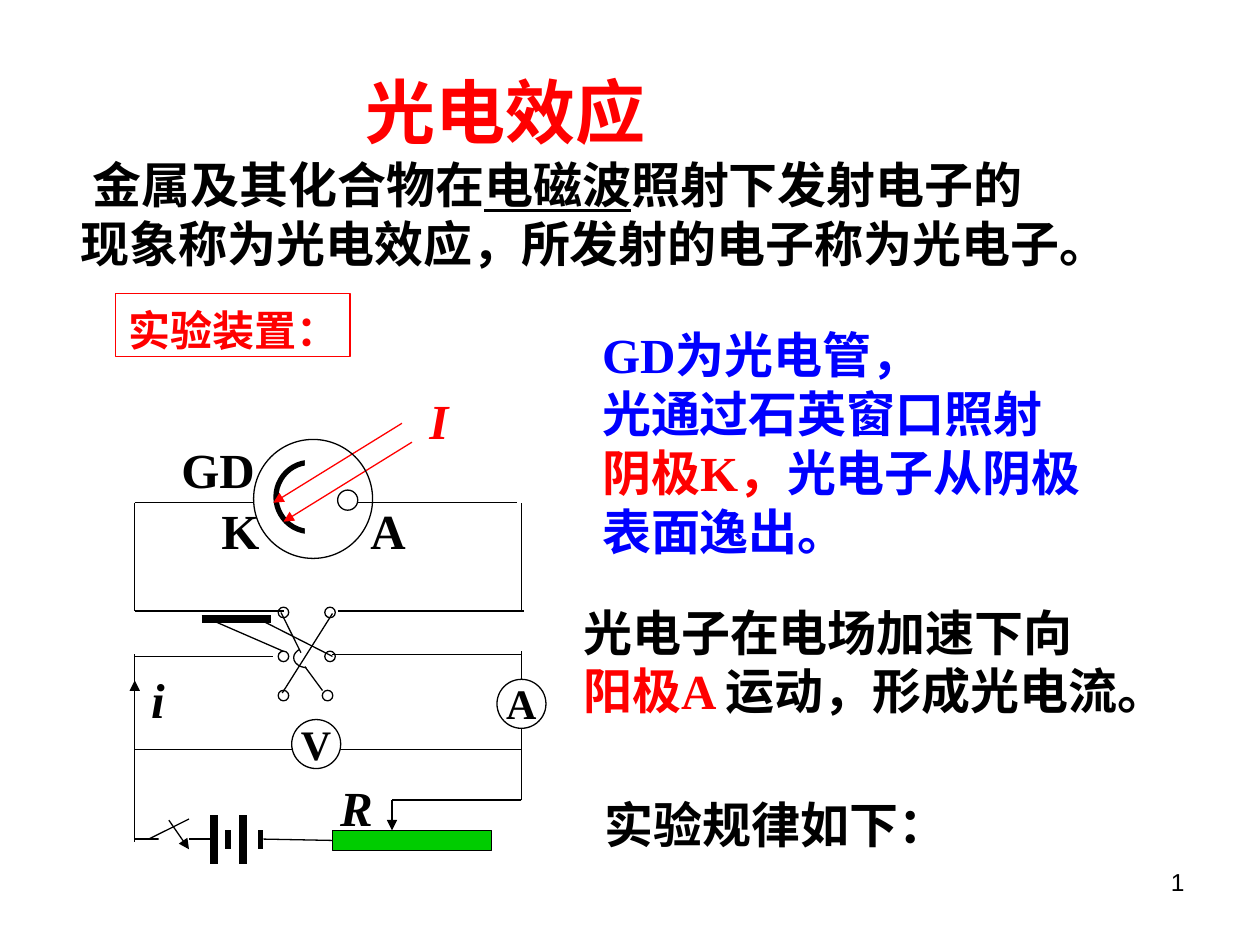
from pptx import Presentation
from pptx.util import Pt
from pptx.dml.color import RGBColor
from pptx.enum.shapes import MSO_SHAPE as SHAPE, MSO_CONNECTOR as CONN
from pptx.enum.text import PP_ALIGN as ALIGN, MSO_ANCHOR as ANCHOR, MSO_AUTO_SIZE as AUTO
from pptx.oxml.ns import qn
from lxml.etree import SubElement

C = dict(black="000000", white="FFFFFF", red="FF0000", blue="0000FF", green="00CC00")
CJK, SERIF = "Noto Sans CJK SC", "Times New Roman"

# Content: a run is (text, format changes), a paragraph is a list of runs
TITLE = [[("光电效应", {})]]
DEFINITION = [
    [("金属及其化合物在", {}), ("电磁波", dict(underline=True)), ("照射下发射电子的", {})],
    [("现象称为光电效应，所发射的电子称为光电子。", {})],
]
SETUP = [[("实验装置：", {})]]
TUBE_NOTE = [
    [("GD", dict(font=SERIF)), ("为光电管，", {})],
    [("光通过石英窗口照射", {})],
    [("阴极", dict(color="red")), ("K", dict(color="red", font=SERIF)),
     ("，", dict(color="red")), ("光电子从阴极", {})],
    [("表面逸出。", {})],
]
CURRENT_NOTE = [
    [("光电子在电场加速下向", {})],
    [("阳极", dict(color="red")), ("A ", dict(color="red", font=SERIF)),
     ("运动，形成光电流。", {})],
]
LAWS = [[("实验规律如下：", {})]]

# Circuit grid: side wires and wire heights
LEFT, RIGHT = 77, 298
Y_TUBE, Y_TOP, Y_MID, Y_METER, Y_SLIDER, Y_CELL = 287.3, 349.2, 374, 428.4, 457.2, 479.5
METER, TERMINAL = 28, 6

# Wires: x1, y1, x2, y2
FRAME = [
    (198.7, Y_TUBE, 295.2, Y_TUBE), (RIGHT, Y_SLIDER, RIGHT, 372.2),
    (LEFT, 375.1, 156.2, 375.1), (190, Y_MID, RIGHT, Y_MID),
    (RIGHT, Y_SLIDER, 224, Y_SLIDER), (LEFT, Y_CELL, 122.4, Y_CELL),
    (LEFT, Y_METER, RIGHT, Y_METER),
]
TUBE_WIRES = [
    (LEFT, Y_TUBE, 144.7, Y_TUBE), (193, Y_TOP, 299.5, Y_TOP), (162, Y_TOP, LEFT, Y_TOP),
    (LEFT, Y_TUBE, LEFT, Y_TOP), (RIGHT, Y_TOP, RIGHT, Y_TUBE),
]
SWITCH_BLADES = [
    (190, 350.6, 161.3, 396), (172, 373, 160.6, 350),
    (174.2, 380.9, 184.3, 394.6), (190, 375.1, 144.7, 352.1),
]
TERMINALS = [(162, 350), (188.6, 350), (162, 375.1), (188.6, 375.1), (162, 397.5), (187.2, 397.5)]
PLATES = [(122.4, 465.8, 493.9, 4.5), (130.3, 474.5, 485.3, 3),
          (139, 465.8, 493.9, 4.5), (149, 474.5, 485.3, 3)]  # x, top, bottom, width
RAYS = [(229.7, 241.9, 156.2, 287.3), (235.4, 252.7, 162, 298.1)]
METERS = [("A", 298, 402.2), ("V", 180.7, 425.2)]
LABELS = [  # text, left, top, width, format
    ("R", 187.2, 439.9, 30.2, dict(italic=True)), ("i", 79.2, 378, 30.2, dict(italic=True)),
    ("A", 204.5, 281.5, 34.6, {}), ("K", 119.5, 281.5, 36, {}), ("GD", 96.5, 247, 56.2, {}),
    ("I", 238.3, 218.9, 22.3, dict(italic=True, color="red")),
]

prs = Presentation()
prs.slide_width, prs.slide_height = Pt(720), Pt(540)
slide = prs.slides.add_slide(prs.slide_layouts[1])
shapes = slide.shapes


def rgb(name):
    return RGBColor.from_string(C[name])


def style(font, face, size, color, bold=True, italic=False, underline=False):
    font.name, font.size, font.bold, font.italic = face, Pt(size), bold, italic
    font.underline = underline
    font.color.rgb = rgb(color)


def write(paras, x, y, w, h, sp=None, size=28, font=CJK, color="black", wrap=False,
          first_size=None, first_indent=0, **fmt):
    """Fill a box with paragraphs set at 1.2 times the type size."""
    sp = sp or shapes.add_textbox(0, 0, 0, 0)
    sp.left, sp.top, sp.width, sp.height = Pt(x), Pt(y), Pt(w), Pt(h)
    tf = sp.text_frame
    tf.word_wrap, tf.auto_size, tf.vertical_anchor = wrap, AUTO.NONE, ANCHOR.TOP
    tf.margin_left = tf.margin_right = Pt(7.2)
    tf.margin_top = Pt(3.6 + size * (0.1 if font != SERIF else 0.03))
    tf.margin_bottom = 0
    for i, runs in enumerate(paras):
        p = tf.paragraphs[0] if i == 0 else tf.add_paragraph()
        pPr = p._p.get_or_add_pPr()
        pPr.set("marL", "0")
        pPr.set("indent", str(Pt(first_indent if i == 0 else 0)))
        p.alignment, p.space_before, p.space_after = ALIGN.LEFT, Pt(0), Pt(0)
        p.line_spacing = Pt(1.2 * (first_size if first_size and i == 0 else size))
        SubElement(pPr, qn("a:buNone"))
        for text, change in runs:
            r = p.add_run()
            r.text = text
            f = dict(font=font, color=color, **fmt) | change
            face = f.pop("font")
            style(r.font, face, size, **f)
            SubElement(r._r.get_or_add_rPr(), qn("a:ea")).set("typeface", CJK if face == SERIF else face)
    return sp


def line(x1, y1, x2, y2, color="black", width=0.75, arrow=False):
    cx = shapes.add_connector(CONN.STRAIGHT, Pt(x1), Pt(y1), Pt(x2), Pt(y2))
    cx.line.color.rgb, cx.line.width = rgb(color), Pt(width)
    if arrow:
        SubElement(cx.line._get_or_add_ln(), qn("a:tailEnd")).set("type", "triangle")
    SubElement(cx._element.spPr, qn("a:effectLst"))
    return cx


def shape(kind, x, y, w, h, fill=None, edge="black", width=0.75):
    sp = shapes.add_shape(kind, Pt(x), Pt(y), Pt(w), Pt(h))
    sp.shadow.inherit = False
    if fill:
        sp.fill.solid()
        sp.fill.fore_color.rgb = rgb(fill)
    else:
        sp.fill.background()
    if edge:
        sp.line.color.rgb, sp.line.width = rgb(edge), Pt(width)
    else:
        sp.line.fill.background()
    return sp


def disc(cx, cy, d, **kw):
    return shape(SHAPE.OVAL, cx - d / 2, cy - d / 2, d, d, **kw)


# Text
write(DEFINITION, 38.9, 77, 601.2, 79.2, sp=slide.placeholders[1], first_size=32, first_indent=7)
write(SETUP, 66.2, 167.8, 133.9, 36, size=24, color="red",
      sp=shape(SHAPE.RECTANGLE, 66.2, 167.8, 133.9, 36, edge="red"))
write(TUBE_NOTE, 337, 179.3, 301, 141.8, color="blue")
write(CURRENT_NOTE, 326.2, 337.7, 362.2, 74.9)
write(LAWS, 338.4, 447.8, 210.2, 41)
write(TITLE, 201.6, 31.7, 345.6, 55.4, sp=shapes.title, size=40, font="Noto Sans CJK JP",
      color="red", wrap=True)

# Circuit frame
for wire in FRAME:
    line(*wire)
line(224, Y_SLIDER, 224, 474.5, arrow=True)
line(LEFT, 411.8, LEFT, 388.8, arrow=True)

# Reversing switch
line(162, 372.2, 122.4, 355)
line(115.2, 353.5, 154.8, 353.5, width=4.5)
shape(SHAPE.OVAL, 167.8, 370.1, 15.8, 11.5, fill="white")
shape(SHAPE.RECTANGLE, 172.8, 358.6, 28, 28, fill="white", edge=None).rotation = 339.5
line(190, Y_MID, 220, Y_MID)
for cx, cy in TERMINALS:
    disc(cx, cy, TERMINAL)
for blade in SWITCH_BLADES:
    line(*blade)

# Rheostat and battery
rheostat = shape(SHAPE.RECTANGLE, 190, 474.5, 91, 11.5, fill="green")
line(150.5, Y_CELL, 190, Y_CELL).end_connect(rheostat, 1)
for x, top, bottom, width in PLATES:
    line(x, top, x, bottom, width=width)

# Meters
for name, cx, cy in METERS:
    disc(cx, cy, METER, fill="white")
    write([[(name, {})]], cx - 15.8, cy - 19.2, 31.7, 36, size=24, font=SERIF)

# Phototube: cathode arc, light rays, envelope, anode
disc(177.5, 284, 39.6, width=3)
shape(SHAPE.RECTANGLE, 174.2, 258.5, 28, 51.1, fill="white", edge=None)
line(198.7, Y_TUBE, 210, Y_TUBE)
for ray in RAYS:
    line(*ray, color="red", arrow=True)
disc(178.9, 285.1, 68)
for wire in TUBE_WIRES:
    line(*wire)
disc(198.7, 285.8, 11.5, fill="white")

# Key in the battery branch
line(LEFT, Y_MID, LEFT, 481)
shape(SHAPE.RECTANGLE, 90.7, 468.7, 17.3, 23, fill="white", edge=None)
line(85, Y_CELL, 108, 468)
line(96.5, 468.7, 108, 485.3, arrow=True)

# Labels
for text, x, y, w, fmt in LABELS:
    write([[(text, {})]], x, y, w, 41, font=SERIF, **fmt)

# Slide number field
tf = shapes.add_textbox(Pt(516.2), Pt(491.8), Pt(167.8), Pt(37.4)).text_frame
tf.word_wrap = True
p = tf.paragraphs[0]
p.alignment = ALIGN.RIGHT
r = p.add_run()
r.text = "1"
style(r.font, "Arial", 14, "black", bold=False)
r._r.tag = qn("a:fld")
r._r.set("id", "{B6F15528-21DE-4FAA-801E-634DDDAF4B2B}")
r._r.set("type", "slidenum")

prs.save("out.pptx")
